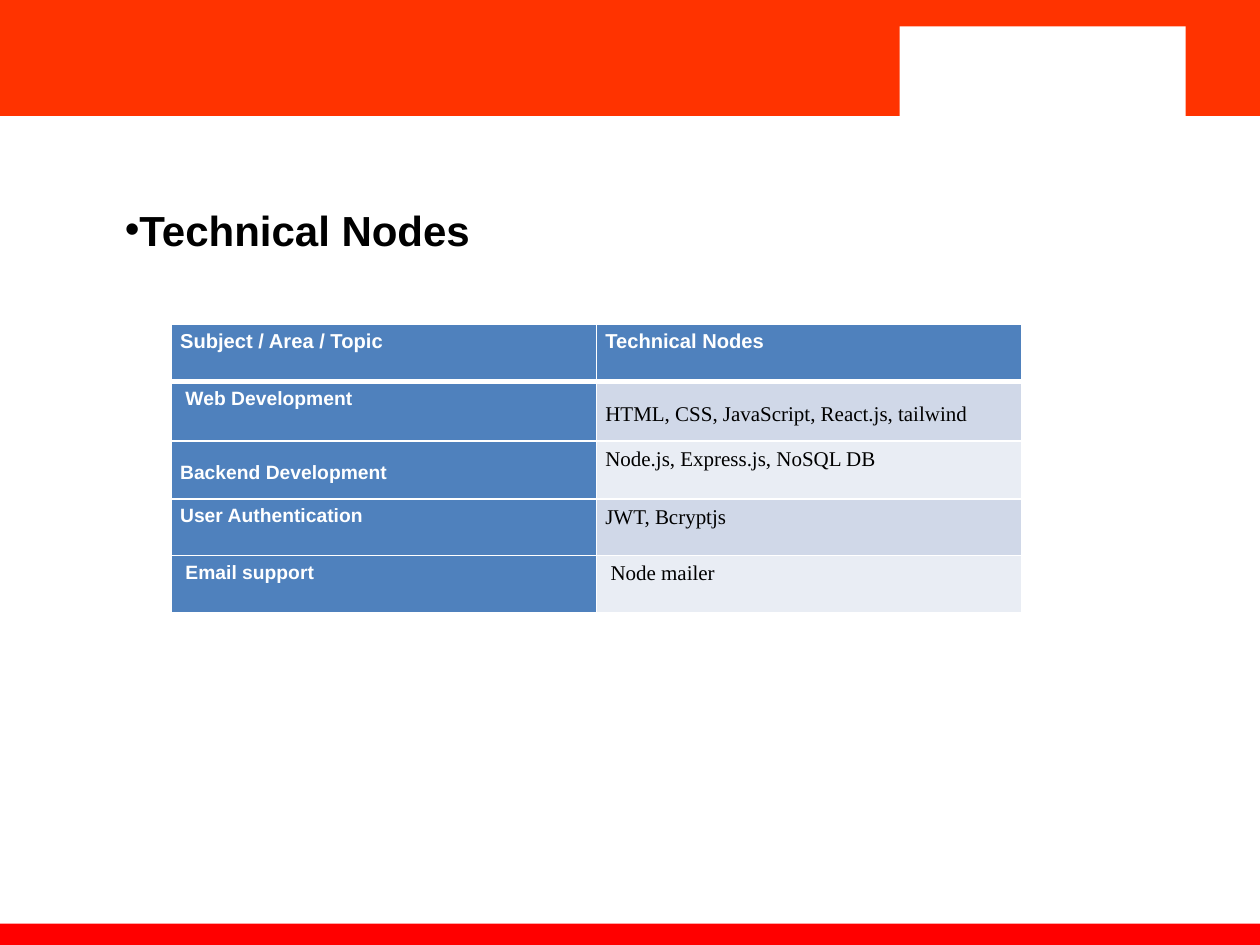
from lxml.etree import SubElement
from pptx import Presentation
from pptx.dml.color import RGBColor
from pptx.enum.shapes import MSO_SHAPE
from pptx.enum.text import MSO_ANCHOR, MSO_AUTO_SIZE, PP_ALIGN
from pptx.oxml import parse_xml
from pptx.oxml.ns import nsdecls, qn
from pptx.util import Inches, Pt

SLIDE_W, SLIDE_H = Inches(10), Inches(7.5)
ORANGE = RGBColor(0xFF, 0x33, 0x00)
RED = RGBColor(0xFF, 0x00, 0x00)
WHITE = RGBColor(0xFF, 0xFF, 0xFF)
BLACK = RGBColor(0x00, 0x00, 0x00)
BLUE = RGBColor(0x4F, 0x81, 0xBD)
BAND_DARK = RGBColor(0xD0, 0xD8, 0xE8)
BAND_LIGHT = RGBColor(0xE9, 0xED, 0xF4)

# The last two entries say which cells are centred vertically
TOPICS = [
    ("Subject / Area / Topic", "Technical Nodes", False, False),
    ("\u00a0Web Development".replace("\u00a0", " "),
     "HTML, CSS, JavaScript, React.js, tailwind", False, True),
    ("Backend Development", "Node.js, Express.js, NoSQL DB", True, False),
    ("User Authentication", "JWT, Bcryptjs", False, False),
    (" Email support", " Node mailer", False, False),
]
COLUMN_SHARES = (0.5, 0.5)
ROW_HEIGHTS = (0.46, 0.47, 0.46, 0.45, 0.45)


def add_block(slide, left, top, width, height, color):
    block = slide.shapes.add_shape(MSO_SHAPE.RECTANGLE, left, top, width, height)
    block.shadow.inherit = False
    block.fill.solid()
    block.fill.fore_color.rgb = color
    block.line.fill.background()


def style_run(run, font, size, color, bold):
    run.font.name = font
    run.font.size = Pt(size)
    run.font.color.rgb = color
    run.font.bold = bold


def add_header(slide, left, top, width, height):
    """Orange band with a white panel cut into its right part."""
    add_block(slide, left, top, width, height, ORANGE)
    panel_top = top + Inches(0.21)
    add_block(slide, left + int(width * 0.714), panel_top,
              int(width * 0.227), Inches(0.75), WHITE)


def add_footer(slide, left, top, width, height):
    add_block(slide, left, top, width, height, RED)


def place_title(slide, left, top, width, height):
    title = slide.shapes.title
    title.left, title.top, title.width, title.height = left, top, width, height
    frame = title.text_frame
    frame.text = "Technical Nodes"
    frame.word_wrap = False
    frame.auto_size = MSO_AUTO_SIZE.NONE
    frame.vertical_anchor = MSO_ANCHOR.MIDDLE
    heading = frame.paragraphs[0]
    heading.alignment = PP_ALIGN.LEFT
    style_run(heading.runs[0], "Arial", 24, BLACK, True)
    # Bullet set directly against the text
    properties = heading._p.get_or_add_pPr()
    properties.set("marL", "0")
    properties.set("indent", "0")
    SubElement(properties, qn("a:buFont")).set("typeface", "Arial")
    SubElement(properties, qn("a:buChar")).set("char", "•")


def set_borders(cell, top_width, bottom_width):
    properties = cell._tc.get_or_add_tcPr()
    widths = {"lnL": 1, "lnR": 1, "lnT": top_width, "lnB": bottom_width}
    for order, (side, points) in enumerate(widths.items()):
        properties.insert(order, parse_xml(
            f'<a:{side} {nsdecls("a")} w="{Pt(points)}"><a:solidFill>'
            f'<a:srgbClr val="{WHITE}"/></a:solidFill></a:{side}>'))


def fill_cell(cell, text, row, column, centred):
    is_heading = row == 0 or column == 0
    cell.text = text
    cell.margin_left, cell.margin_right = Inches(0.07), Inches(0.08)
    cell.margin_top, cell.margin_bottom = Inches(0.04), 0
    cell.vertical_anchor = MSO_ANCHOR.MIDDLE if centred else MSO_ANCHOR.TOP
    cell.fill.solid()
    band = BAND_DARK if row % 2 else BAND_LIGHT
    cell.fill.fore_color.rgb = BLUE if is_heading else band
    set_borders(cell, 3 if row == 1 else 1, 3 if row == 0 else 1)

    paragraph = cell.text_frame.paragraphs[0]
    paragraph.line_spacing = 1.07
    paragraph.space_after = Pt(8)
    if is_heading:
        style_run(paragraph.runs[0], "Arial", 11.5 if row == 0 else 11, WHITE, True)
    else:
        style_run(paragraph.runs[0], "Times New Roman", 12, BLACK, False)


def add_topic_table(slide, left, top, width, height):
    table = slide.shapes.add_table(
        len(TOPICS), len(COLUMN_SHARES), left, top, width, height).table
    table.horz_banding = False
    for column, share in zip(table.columns, COLUMN_SHARES):
        column.width = int(width * share)
    for row, row_height in zip(table.rows, ROW_HEIGHTS):
        row.height = Inches(row_height)
    for row, (topic, nodes, topic_centred, nodes_centred) in enumerate(TOPICS):
        fill_cell(table.cell(row, 0), topic, row, 0, topic_centred)
        fill_cell(table.cell(row, 1), nodes, row, 1, nodes_centred)


def main():
    presentation = Presentation()
    presentation.slide_width, presentation.slide_height = SLIDE_W, SLIDE_H
    slide = presentation.slides.add_slide(presentation.slide_layouts[5])

    footer_top = Inches(7.33)
    add_header(slide, 0, 0, SLIDE_W, Inches(0.92))
    add_footer(slide, 0, footer_top, SLIDE_W, SLIDE_H - footer_top)
    place_title(slide, Inches(0.89), Inches(1.57), Inches(3.06), Inches(0.5))
    add_topic_table(slide, Inches(1.36), Inches(2.57), Inches(6.75),
                    Inches(sum(ROW_HEIGHTS)))
    presentation.save("out.pptx")


if __name__ == "__main__":
    main()
